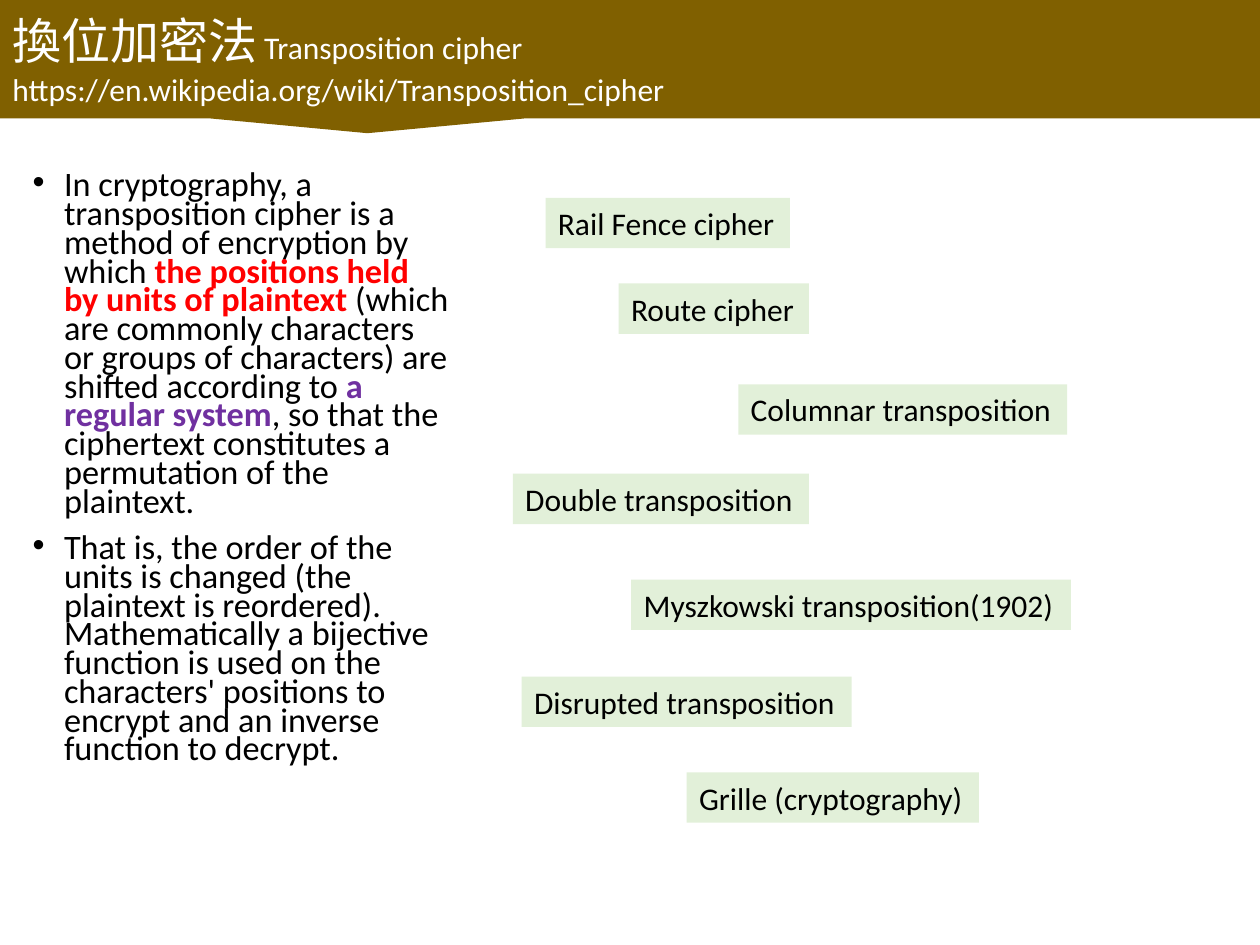
from dataclasses import dataclass

from pptx import Presentation
from pptx.dml.color import RGBColor
from pptx.enum.shapes import MSO_SHAPE
from pptx.enum.text import MSO_ANCHOR, MSO_AUTO_SIZE, PP_ALIGN
from pptx.oxml.ns import qn
from pptx.util import Inches, Pt
from lxml import etree

CALLOUT = MSO_SHAPE.RECTANGULAR_CALLOUT
RECTANGLE = MSO_SHAPE.RECTANGLE
MIDDLE = MSO_ANCHOR.MIDDLE
TOP = MSO_ANCHOR.TOP
GROW = MSO_AUTO_SIZE.SHAPE_TO_FIT_TEXT
LEFT = PP_ALIGN.LEFT


@dataclass(frozen=True)
class Theme:
    latin: str = "Calibri"
    chinese: str = "Noto Sans CJK SC"
    banner: str = "806000"
    label: str = "E2F0D9"
    ink: str = "000000"
    light: str = "FFFFFF"
    red: str = "FF0000"
    purple: str = "7030A0"
    heading_size: float = 28
    label_size: float = 18
    body_size: float = 19.6


THEME = Theme()

DEFINITION = [
    ("In cryptography, a transposition cipher is a method of encryption by which ", THEME.ink, False),
    ("the positions held by units of plaintext ", THEME.red, True),
    ("(which are commonly characters or groups of characters) are shifted according to ", THEME.ink, False),
    ("a regular system", THEME.purple, True),
    (", so that the ciphertext constitutes a permutation of the plaintext.", THEME.ink, False),
]
EXPLANATION = [
    ("That is, the order of the units is changed (the plaintext is reordered). "
     "Mathematically a bijective function is used on the characters' positions "
     "to encrypt and an inverse function to decrypt.", THEME.ink, False),
]
CIPHERS = [
    ("Rail Fence cipher", 4.33, 1.57, 1.94),
    ("Route cipher", 4.91, 2.25, 1.51),
    ("Columnar transposition", 5.86, 3.05, 2.61),
    ("Double transposition", 4.07, 3.76, 2.35),
    ("Myszkowski transposition(1902)", 5.01, 4.6, 3.49),
    ("Disrupted transposition", 4.14, 5.37, 2.62),
    ("Grille (cryptography)", 5.45, 6.13, 2.32),
]
LABEL_HEIGHT = 0.4


def add_span(para, text, size, color, bold=False, font=THEME.latin):
    span = para.add_run()
    span.text = text
    span.font.name = font
    span.font.size = Pt(size)
    span.font.bold = bold
    span.font.color.rgb = RGBColor.from_string(color)
    return span


def add_panel(page, preset, box, fill):
    panel = page.shapes.add_shape(preset, *map(Inches, box))
    panel.shadow.inherit = False
    panel.fill.solid()
    panel.fill.fore_color.rgb = RGBColor.from_string(fill)
    panel.line.fill.background()
    return panel


def add_banner(page, box):
    frame = add_panel(page, CALLOUT, box, THEME.banner).text_frame
    frame.word_wrap = True
    frame.vertical_anchor = MIDDLE
    title = frame.paragraphs[0]
    title.alignment = LEFT
    chinese = add_span(title, "換位加密法", THEME.heading_size, THEME.light, font=THEME.chinese)
    east_asian = etree.SubElement(chinese.font._element, qn("a:ea"))
    east_asian.set("typeface", THEME.chinese)
    add_span(title, " Transposition cipher", THEME.label_size, THEME.light)
    address = frame.add_paragraph()
    address.alignment = LEFT
    add_span(address, "https://en.wikipedia.org/wiki/Transposition_cipher", THEME.label_size, THEME.light)


def add_bullet(para):
    properties = para._p.get_or_add_pPr()
    properties.set("marL", str(Inches(0.25)))
    properties.set("indent", str(-Inches(0.25)))
    etree.SubElement(properties, qn("a:buFont")).set("typeface", "Arial")
    etree.SubElement(properties, qn("a:buChar")).set("char", "•")


def add_description(page, box):
    frame = page.shapes.add_textbox(*map(Inches, box)).text_frame
    frame.word_wrap = True
    for index, passage in enumerate((DEFINITION, EXPLANATION)):
        para = frame.add_paragraph() if index else frame.paragraphs[0]
        add_bullet(para)
        para.line_spacing = 0.7
        if index:
            para.space_before = Pt(10)
        for text, color, bold in passage:
            add_span(para, text, THEME.body_size, color, bold)


def add_label(page, box, text):
    frame = add_panel(page, RECTANGLE, box, THEME.label).text_frame
    frame.word_wrap = False
    frame.auto_size = GROW
    frame.vertical_anchor = TOP
    para = frame.paragraphs[0]
    para.alignment = LEFT
    add_span(para, text, THEME.label_size, THEME.ink)


def main():
    deck = Presentation()
    deck.slide_width = Inches(10)
    deck.slide_height = Inches(7.5)
    page = deck.slides.add_slide(deck.slide_layouts[6])
    add_description(page, (0.16, 1.33, 3.51, 6.06))
    add_banner(page, (0, 0, 10, 0.94))
    for text, left, top, width in CIPHERS:
        add_label(page, (left, top, width, LABEL_HEIGHT), text)
    deck.save("out.pptx")


if __name__ == "__main__":
    main()
